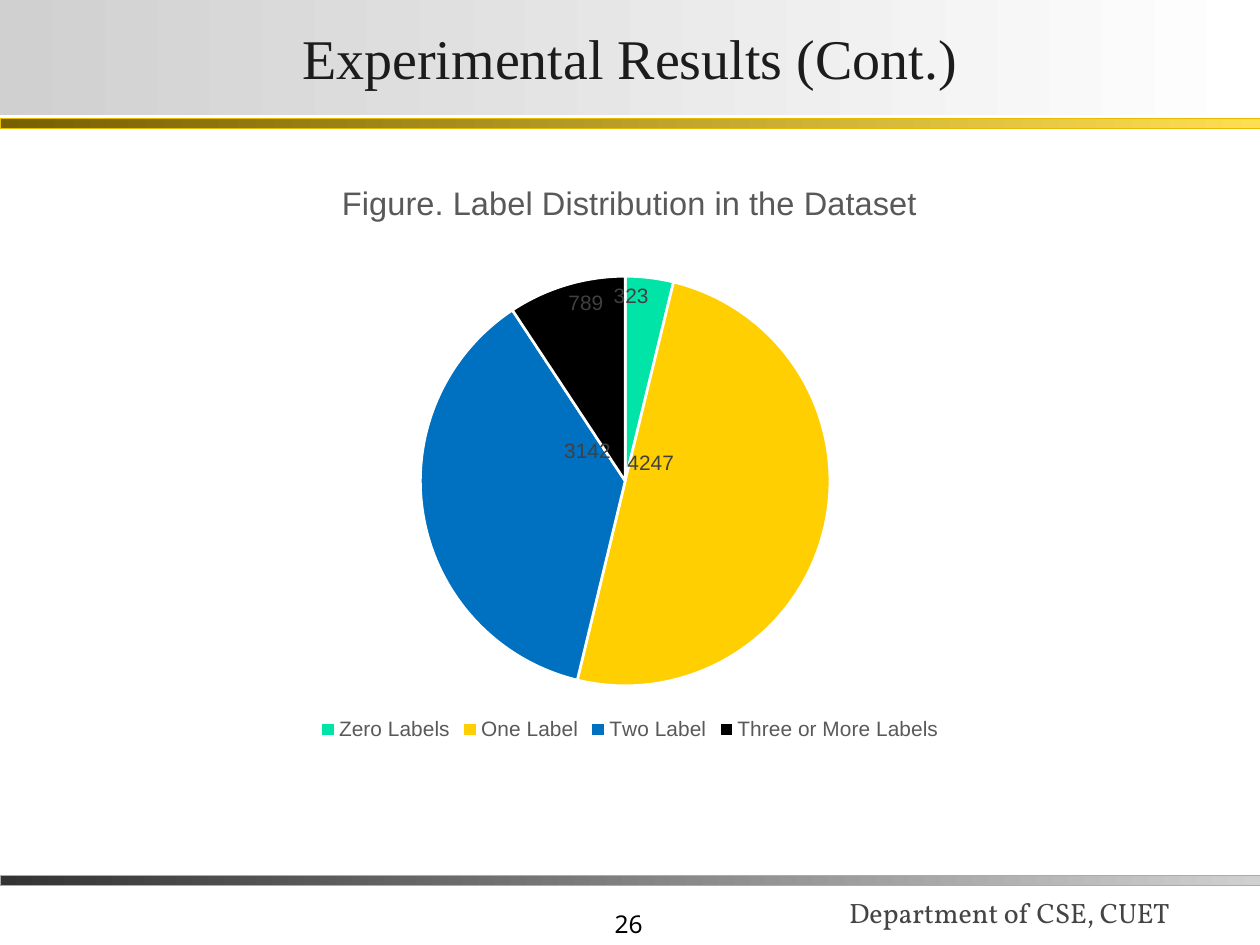
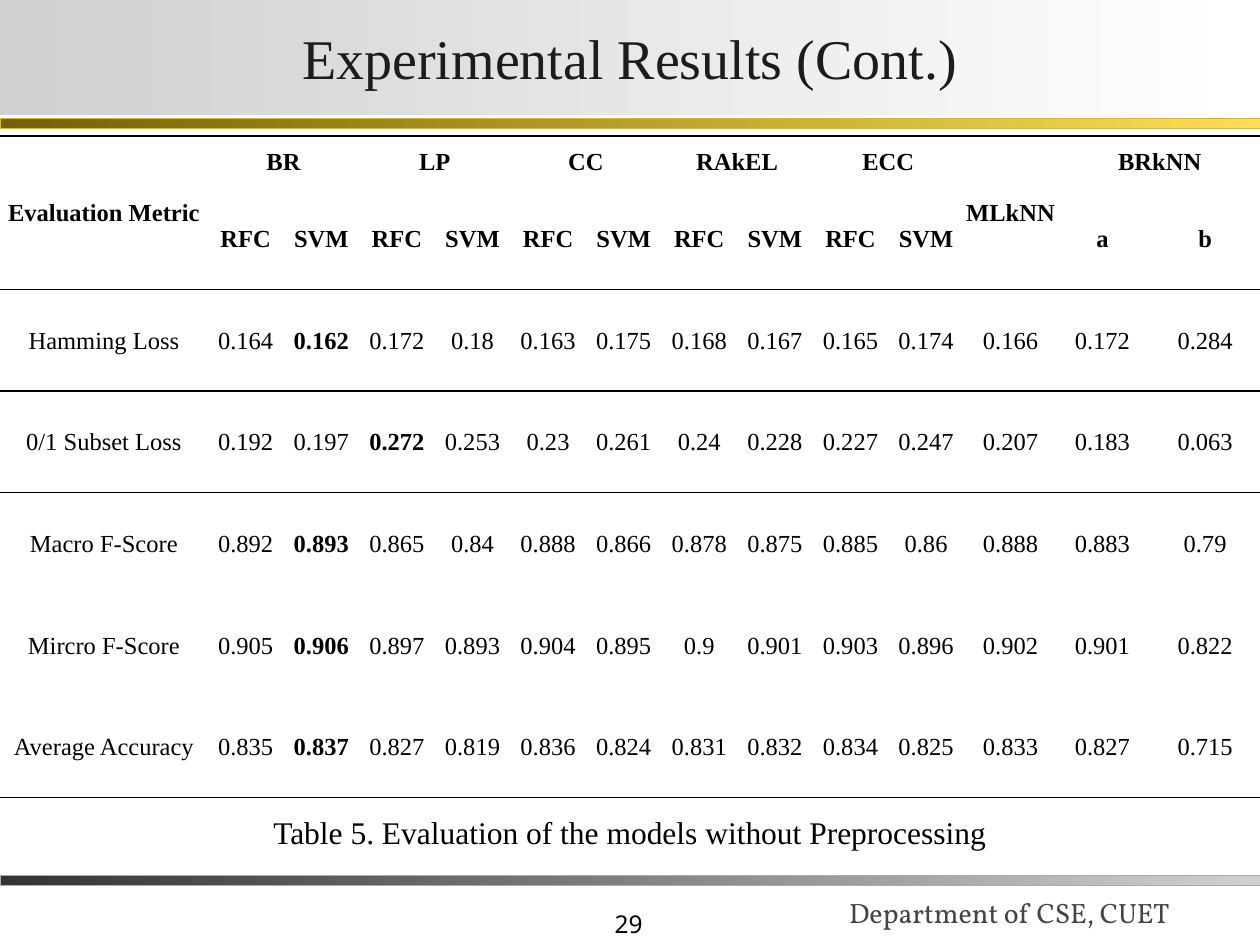
from lxml.etree import SubElement as Sub
from pptx import Presentation
from pptx.chart.data import CategoryChartData as Data
from pptx.dml.color import RGBColor as Rgb
from pptx.enum.chart import XL_CHART_TYPE as Kind
from pptx.enum.chart import XL_LABEL_POSITION as Spot
from pptx.enum.chart import XL_LEGEND_POSITION as Side
from pptx.enum.shapes import MSO_SHAPE as Form
from pptx.enum.text import MSO_ANCHOR as Anchor
from pptx.enum.text import MSO_AUTO_SIZE as Fit
from pptx.enum.text import PP_ALIGN as Align
from pptx.oxml import parse_xml
from pptx.oxml.ns import nsdecls, qn
from pptx.util import Inches, Pt

BLACK = Rgb(0x00, 0x00, 0x00)
WHITE = Rgb(0xFF, 0xFF, 0xFF)
INK = Rgb(0x1C, 0x1C, 0x1C)
DARK = Rgb(0x33, 0x33, 0x33)
SLATE = Rgb(0x44, 0x44, 0x44)
LABEL = Rgb(0x40, 0x40, 0x40)
GREY = Rgb(0x59, 0x59, 0x59)
EDGE = Rgb(0xAB, 0xAB, 0xAB)
PALE = Rgb(0xD0, 0xD0, 0xD0)
BROWN = Rgb(0x76, 0x60, 0x00)
AMBER = Rgb(0xE8, 0xBC, 0x00)
LEMON = Rgb(0xFF, 0xDE, 0x53)
MINT = Rgb(0x00, 0xE4, 0xA8)
GOLD = Rgb(0xFF, 0xCF, 0x01)
BLUE = Rgb(0x00, 0x70, 0xC0)

SERIF, SANS = "Times New Roman", "Arial"
COLS, ROWS = 100, 75  # grid of the slide
NO_STYLE = "{2D5ABB26-0587-4C30-8999-92F81FD0307C}"


def style(font, size, color, name, bold=False):
    """Set the look of a font."""
    font.size, font.name, font.bold = Pt(size), name, bold
    font.color.rgb = color


def blend(fill, start, end):
    """Fill with a gradient from left to right."""
    fill.gradient()
    fill.gradient_angle = 0
    for stop, color in zip(fill.gradient_stops, (start, end)):
        stop.color.rgb = color


def place(parent, index, **sizes):
    """Insert a manual chart layout into an element."""
    layout = parse_xml(f"<c:layout {nsdecls('c')}><c:manualLayout/></c:layout>")
    for tag, value in sizes.items():
        Sub(layout[0], qn("c:" + tag)).set("val", str(value))
    old = parent.find(qn("c:layout"))
    if old is not None:
        parent.remove(old)
    parent.insert(index, layout)


def rule(cell, tag, width):
    """Draw a black border on one side of a cell."""
    line = Sub(cell._tc.get_or_add_tcPr(), qn("a:" + tag), w=str(Pt(width)))
    Sub(Sub(line, qn("a:solidFill")), qn("a:srgbClr"), val=str(BLACK))


class Deck:
    """Holds the shared style and the current slide."""

    def __init__(self):
        """Start a deck with its slide size and grid."""
        self.prs = Presentation()
        self.prs.slide_width, self.prs.slide_height = Inches(10), Inches(7.5)
        self.col = self.prs.slide_width / COLS
        self.row = self.prs.slide_height / ROWS

    def box(self, x, y, w, h):
        """Turn columns and rows into lengths."""
        return (int(x * self.col), int(y * self.row),
                int(w * self.col), int(h * self.row))

    def page(self, title, number):
        """Add a slide with bands, footer and title."""
        self.slide = self.prs.slides.add_slide(self.prs.slide_layouts[5])
        self.shapes = self.slide.shapes
        self.text(str(number), (31.2, 70, 20.8, 5), 14, BLACK, "Noto Sans",
                  Align.RIGHT, Anchor.BOTTOM)
        self.text("Department of CSE, CUET", (66.4, 68, 34.4, 6.2), 16, SLATE,
                  "Vollkorn", Align.LEFT, Anchor.BOTTOM)
        self.band(69.5, DARK, PALE, EDGE)
        self.band(9.4, BROWN, LEMON, AMBER)
        self.title(title)

    def title(self, words):
        """Format the title placeholder and bring it to the front."""
        head = self.shapes.title
        head.left, head.top, head.width, head.height = self.box(0, 0, COLS, 9.1)
        blend(head.fill, PALE, WHITE)
        frame = head.text_frame
        frame.text = words
        frame.auto_size, frame.vertical_anchor = Fit.NONE, Anchor.MIDDLE
        frame.margin_left = frame.margin_right = Inches(0.02)
        frame.margin_top = frame.margin_bottom = Inches(0.01)
        para = frame.paragraphs[0]
        para.alignment = Align.CENTER
        style(para.runs[0].font, 32, INK, SERIF)
        self.shapes._spTree.append(head._element)

    def band(self, y, start, end, edge):
        """Draw a thin gradient band across the slide."""
        bar = self.shapes.add_shape(Form.RECTANGLE, *self.box(0, y, COLS, 0.8))
        bar.shadow.inherit = False
        blend(bar.fill, start, end)
        bar.line.color.rgb, bar.line.width = edge, Pt(0.25)

    def text(self, words, area, size, color, name, align, anchor=Anchor.TOP):
        """Add a wrapped line of text."""
        frame = self.shapes.add_textbox(*self.box(*area)).text_frame
        frame.word_wrap, frame.vertical_anchor = True, anchor
        frame.text = words
        para = frame.paragraphs[0]
        para.alignment = align
        style(para.runs[0].font, size, color, name)

    def pie(self, title, parts, area, shifts):
        """Add a pie chart; parts are name, value and colour."""
        data = Data()
        data.categories = [name for name, _, _ in parts]
        data.add_series("Series 1", [value for _, value, _ in parts])
        chart = self.shapes.add_chart(Kind.PIE, *self.box(*area), data).chart
        style(chart.font, 10, BLACK, SANS)
        chart.has_title = True
        head = chart.chart_title.text_frame
        head.text = title
        style(head.paragraphs[0].runs[0].font, 18.6, GREY, SANS)
        chart.has_legend = True
        key = chart.legend
        key.position, key.include_in_layout = Side.BOTTOM, False
        style(key.font, 11.9, GREY, SANS)
        plot = chart.plots[0]
        plot.vary_by_categories = True
        for i, (_, _, color) in enumerate(parts):
            point = plot.series[0].points[i]
            point.format.fill.solid()
            point.format.fill.fore_color.rgb = color
            point.format.line.color.rgb = WHITE
            point.format.line.width = Pt(1.5)
            style(point.data_label.font, 11.9, LABEL, SANS)
            point.data_label.position = Spot.INSIDE_END
        tags = list(chart.element.iter(qn("c:dLbl")))
        for i, (x, y) in shifts.items():
            place(tags[i], 1, x=x, y=y)
        field = next(chart.element.iter(qn("c:plotArea")))
        place(field, 0, layoutTarget="inner", xMode="edge", yMode="edge",
              x=0.28, y=0.2, w=0.43, h=0.7)

    def table(self, lines, area, widths, heights, spans, best, rules):
        """Add a plain table with merged heads and ruled rows."""
        grid = self.shapes.add_table(len(lines), len(widths),
                                     *self.box(*area)).table
        grid._tbl.tblPr.find(qn("a:tableStyleId")).text = NO_STYLE
        grid.first_row = grid.horz_banding = False
        for col, width in zip(grid.columns, widths):
            col.width = int(width * self.col)
        for row, height in zip(grid.rows, heights):
            row.height = int(height * self.row)
        for r, line in enumerate(lines):
            for c, words in enumerate(line):
                cell = grid.cell(r, c)
                self.cell(cell, words, r < 2 or best.get(r) == c)
                for tag, edge in (("lnT", r), ("lnB", r + 1)):
                    if edge in rules:
                        rule(cell, tag, rules[edge])
                cell.fill.background()
        for r, c, down, right in spans:
            grid.cell(r, c).merge(grid.cell(r + down, c + right))

    def cell(self, cell, words, bold):
        """Write centred words into a cell."""
        cell.vertical_anchor = Anchor.MIDDLE
        cell.margin_left = cell.margin_right = cell.margin_top = Inches(0.01)
        cell.margin_bottom = 0
        para = cell.text_frame.paragraphs[0]
        para.alignment = Align.CENTER
        if words:
            para.text = words
            style(para.runs[0].font, 14, BLACK, SERIF, bold)
        else:
            style(para.font, 14, BLACK, SERIF)


TITLE = "Experimental Results (Cont.)"
PARTS = [("Zero Labels", 323, MINT), ("One Label", 4247, GOLD),
         ("Two Label", 3142, BLUE), ("Three or More Labels", 789, BLACK)]
SHIFTS = {1: (-0.15, -0.09), 2: (0.14, -0.09)}

PAIRS = ["BR", "LP", "CC", "RAkEL", "ECC"]
TOP = ["Evaluation Metric"]
for pair in PAIRS:
    TOP += [pair, ""]
TOP += ["MLkNN", "BRkNN", ""]
NEXT = [""] + ["RFC", "SVM"] * len(PAIRS) + ["", "a", "b"]
SCORES = {
    "Hamming Loss": "0.164 0.162 0.172 0.18 0.163 0.175 0.168 "
                    "0.167 0.165 0.174 0.166 0.172 0.284",
    "0/1 Subset Loss": "0.192 0.197 0.272 0.253 0.23 0.261 0.24 "
                       "0.228 0.227 0.247 0.207 0.183 0.063",
    "Macro F-Score": "0.892 0.893 0.865 0.84 0.888 0.866 0.878 "
                     "0.875 0.885 0.86 0.888 0.883 0.79",
    "Mircro F-Score": "0.905 0.906 0.897 0.893 0.904 0.895 0.9 "
                      "0.901 0.903 0.896 0.902 0.901 0.822",
    "Average Accuracy": "0.835 0.837 0.827 0.819 0.836 0.824 0.831 "
                        "0.832 0.834 0.825 0.833 0.827 0.715",
}
LINES = [TOP, NEXT] + [[name] + row.split() for name, row in SCORES.items()]
WIDTHS = [16.5] + [6] * 10 + [7.4, 7.2, 9.1]
HEIGHTS = [4.1] + [8.07] * 6
SPANS = [(0, 0, 1, 0), (0, 11, 1, 0)] + [(0, c, 0, 1) for c in (1, 3, 5, 7, 9, 12)]
BEST = {2: 2, 3: 3, 4: 2, 5: 2, 6: 2}
RULES = {0: 1, 2: 1, 3: 0.75, 7: 1}  # row edge: line width

deck = Deck()
deck.page(TITLE, 26)
deck.pie("Figure. Label Distribution in the Dataset", PARTS,
         (12.2, 12.5, 75.6, 46.7), SHIFTS)

deck.page(TITLE, 29)
deck.table(LINES, (0, 10.8, COLS, 52.5), WIDTHS, HEIGHTS, SPANS, BEST, RULES)
deck.text("Table 5. Evaluation of the models without Preprocessing",
          (0, 64, COLS, 4), 18, BLACK, SERIF, Align.CENTER)
deck.prs.save("out.pptx")
